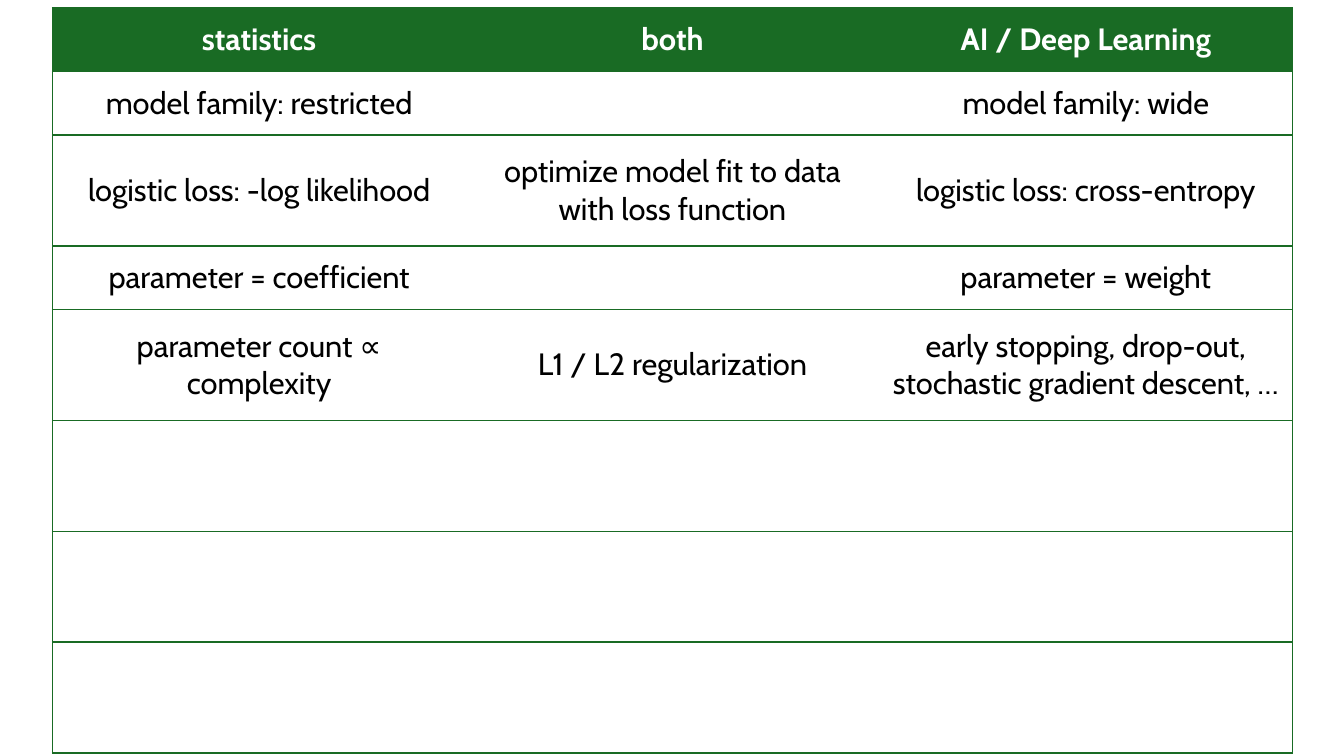
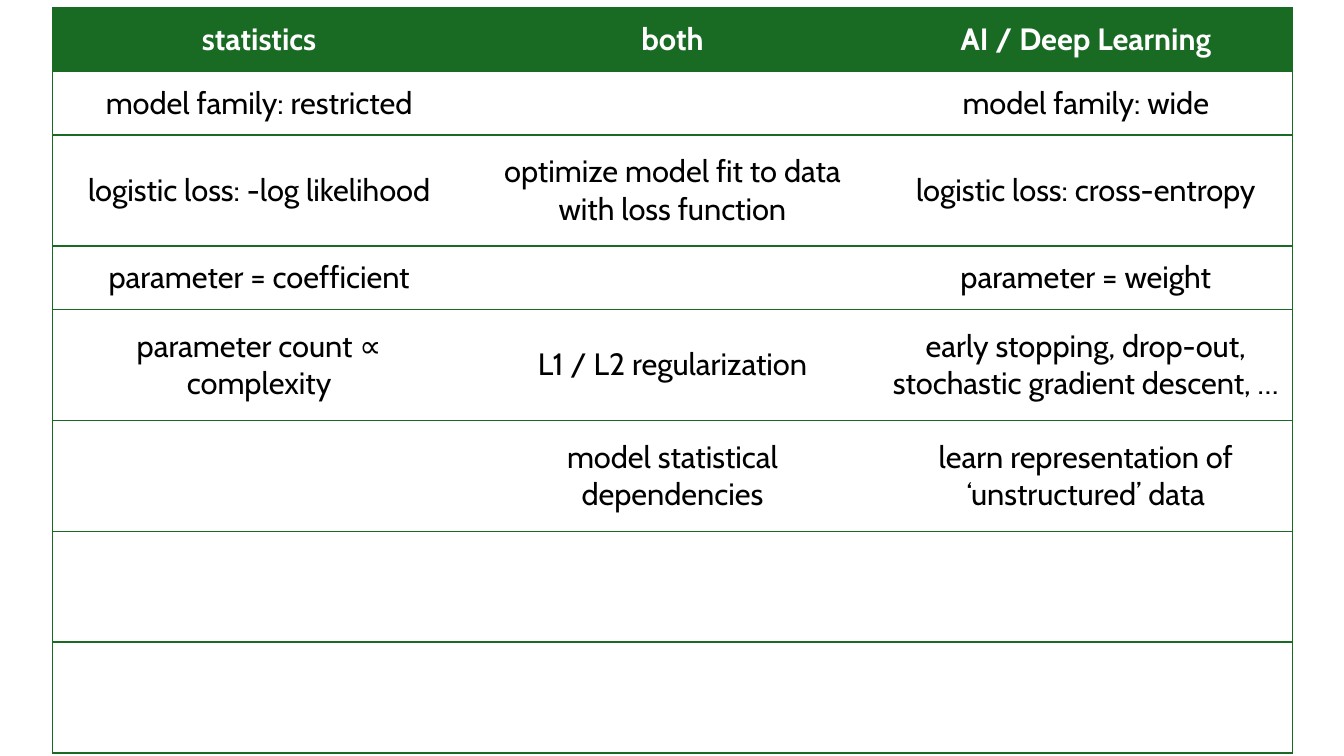
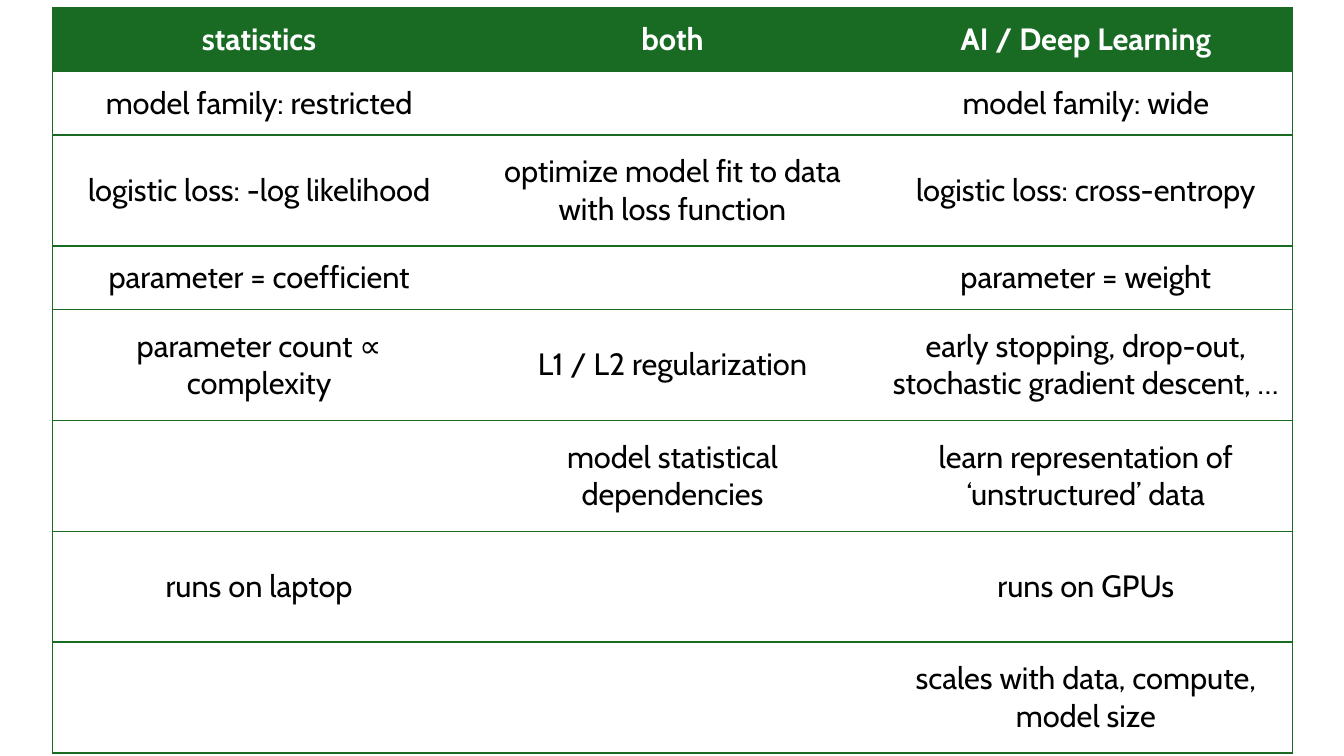
from dataclasses import dataclass
from typing import NamedTuple

from lxml.etree import SubElement
from pptx import Presentation
from pptx.dml.color import RGBColor
from pptx.enum.text import MSO_ANCHOR, PP_ALIGN
from pptx.oxml.ns import qn
from pptx.slide import Slide
from pptx.table import Table, _Cell
from pptx.util import Inches, Pt


@dataclass(frozen=True)
class Theme:
    font: str = "Cabin"
    text_size: Pt = Pt(22)
    border_width: Pt = Pt(1)
    green: str = "196B24"
    white: str = "FFFFFF"
    black: str = "000000"
    plain_table_style: str = "{2D5ABB26-0587-4C30-8999-92F81FD0307C}"


class ComparisonRow(NamedTuple):
    height: Inches
    statistics: str = ""
    both: str = ""
    deep_learning: str = ""


THEME = Theme()
SINGLE_LINE = Inches(0.63)
DOUBLE_LINE = Inches(1.1)
TABLE_LEFT = Inches(0.52)
TABLE_TOP = Inches(0.08)
COLUMN_WIDTH = Inches(4.1)
COLUMN_COUNT = 3
SIDE_MARGIN = Inches(0.09)

ROWS = [
    ComparisonRow(SINGLE_LINE, "statistics", "both", "AI / Deep Learning"),
    ComparisonRow(SINGLE_LINE, "model family: restricted", "", "model family: wide"),
    ComparisonRow(
        DOUBLE_LINE,
        "logistic loss: -log likelihood",
        "optimize model fit to data with loss function",
        "logistic loss: cross-entropy",
    ),
    ComparisonRow(SINGLE_LINE, "parameter = coefficient", "", "parameter = weight"),
    ComparisonRow(
        DOUBLE_LINE,
        "parameter count ∝ complexity",
        "L1 / L2 regularization",
        "early stopping, drop-out, stochastic gradient descent, …",
    ),
    ComparisonRow(
        DOUBLE_LINE,
        "",
        "model statistical dependencies",
        "learn representation of ‘unstructured’ data",
    ),
    ComparisonRow(DOUBLE_LINE, "runs on laptop", "", "runs on GPUs"),
    ComparisonRow(DOUBLE_LINE, "", "", "scales with data, compute, model size"),
]
REVEALED_ROW_COUNTS = [5, 6, 8]


def add_borders(cell: _Cell, column_index: int) -> None:
    sides = ["T", "B"]
    if column_index == COLUMN_COUNT - 1:
        sides.insert(0, "R")
    if column_index == 0:
        sides.insert(0, "L")
    properties = cell._tc.get_or_add_tcPr()
    for side in sides:
        line = SubElement(properties, qn(f"a:ln{side}"), w=str(THEME.border_width))
        fill = SubElement(line, qn("a:solidFill"))
        SubElement(fill, qn("a:srgbClr"), val=THEME.green)


def format_cell(cell: _Cell, text: str, is_header: bool) -> None:
    cell.margin_left = cell.margin_right = SIDE_MARGIN
    cell.margin_top = cell.margin_bottom = 0
    cell.vertical_anchor = MSO_ANCHOR.MIDDLE
    if is_header:
        cell.fill.solid()
        cell.fill.fore_color.rgb = RGBColor.from_string(THEME.green)
    else:
        cell.fill.background()
    if not text:
        return
    cell.text_frame.text = text
    paragraph = cell.text_frame.paragraphs[0]
    paragraph.alignment = PP_ALIGN.CENTER
    font = paragraph.runs[0].font
    font.name = THEME.font
    font.size = THEME.text_size
    font.bold = is_header
    font.color.rgb = RGBColor.from_string(THEME.white if is_header else THEME.black)


def add_plain_table(slide: Slide) -> Table:
    table = slide.shapes.add_table(
        len(ROWS),
        COLUMN_COUNT,
        TABLE_LEFT,
        TABLE_TOP,
        COLUMN_WIDTH * COLUMN_COUNT,
        sum(row.height for row in ROWS),
    ).table
    table.horz_banding = False
    table._tbl.tblPr.find(qn("a:tableStyleId")).text = THEME.plain_table_style
    for column in table.columns:
        column.width = COLUMN_WIDTH
    return table


def add_comparison(slide: Slide, revealed_rows: int) -> None:
    table = add_plain_table(slide)
    for row_index, row in enumerate(ROWS):
        table.rows[row_index].height = row.height
        texts = (row.statistics, row.both, row.deep_learning)
        for column_index, text in enumerate(texts):
            cell = table.cell(row_index, column_index)
            add_borders(cell, column_index)
            shown_text = text if row_index < revealed_rows else ""
            format_cell(cell, shown_text, is_header=row_index == 0)


def main() -> None:
    presentation = Presentation()
    presentation.slide_width = Inches(13.33)
    presentation.slide_height = Inches(7.5)
    blank_layout = presentation.slide_layouts[6]
    for revealed_rows in REVEALED_ROW_COUNTS:
        add_comparison(presentation.slides.add_slide(blank_layout), revealed_rows)
    presentation.save("out.pptx")


if __name__ == "__main__":
    main()
